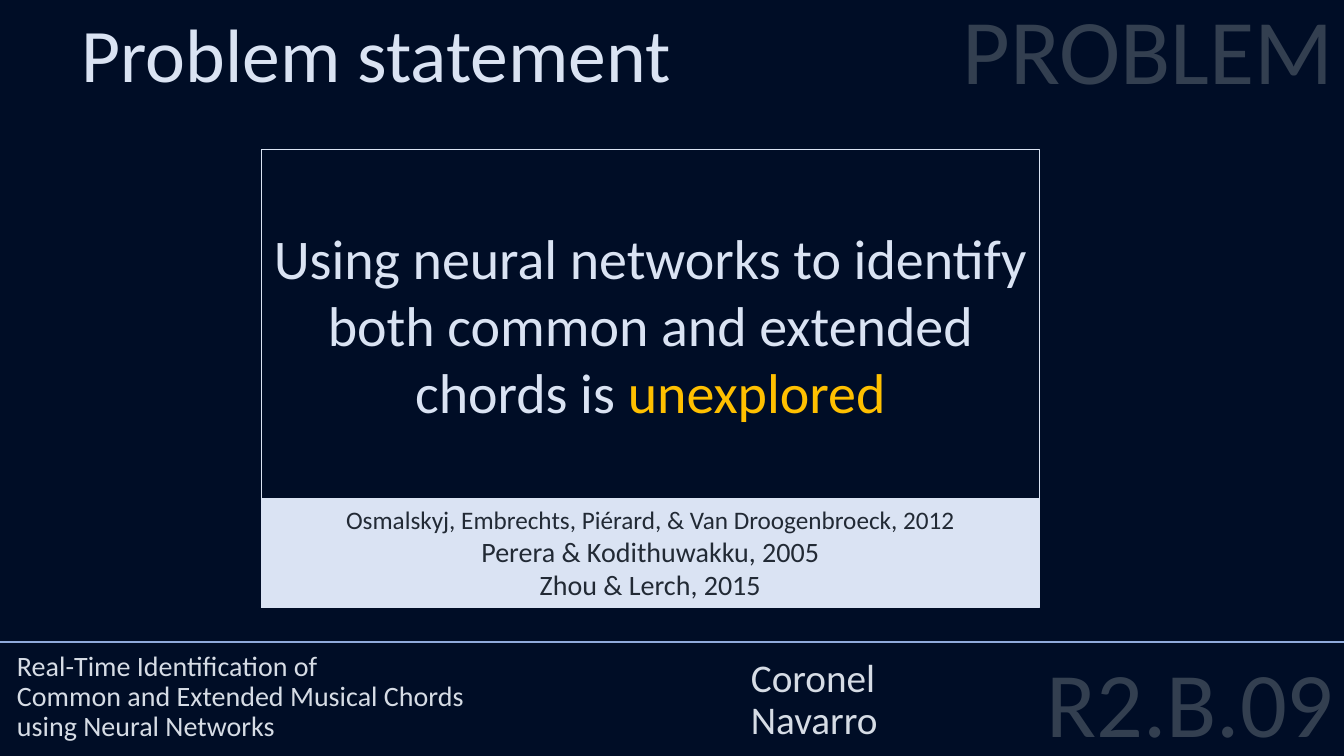
from dataclasses import dataclass

from lxml import etree
from pptx import Presentation
from pptx.dml.color import RGBColor
from pptx.enum.shapes import MSO_CONNECTOR, MSO_SHAPE
from pptx.enum.text import MSO_ANCHOR, PP_ALIGN
from pptx.oxml.ns import qn
from pptx.util import Pt

EMU_PER_PX = 9144
LEFT, CENTER, RIGHT = PP_ALIGN.LEFT, PP_ALIGN.CENTER, PP_ALIGN.RIGHT
TOP, MIDDLE, BOTTOM = MSO_ANCHOR.TOP, MSO_ANCHOR.MIDDLE, MSO_ANCHOR.BOTTOM
RECTANGLE = MSO_SHAPE.RECTANGLE
STRAIGHT = MSO_CONNECTOR.STRAIGHT


@dataclass(frozen=True)
class Theme:
    font: str = "Calibri"
    background: str = "000D26"
    light: str = "DAE3F3"
    footer: str = "D6DCE5"
    faded: str = "333F50"
    dark: str = "222A35"
    accent: str = "FFC000"
    rule: str = "8FAADC"
    label_size: int = 66
    heading_size: int = 54
    statement_size: int = 40
    author_size: int = 28
    body_size: int = 20
    small_size: int = 18
    border_width: float = 0.75
    rule_width: float = 1.5


def px(*lengths):
    return [length * EMU_PER_PX for length in lengths]


def rgb(color):
    return RGBColor.from_string(color)


class SlideBuilder:
    def __init__(self, presentation, theme):
        self.theme = theme
        self.slide = presentation.slides.add_slide(presentation.slide_layouts[6])
        background = self.slide.background.fill
        background.solid()
        background.fore_color.rgb = rgb(theme.background)

    def set_lines(self, shape, lines, color, align=LEFT, anchor=TOP, spacing=None):
        frame = shape.text_frame
        frame.word_wrap = True
        frame.vertical_anchor = anchor
        for index, (text, size) in enumerate(lines):
            paragraph = frame.add_paragraph() if index else frame.paragraphs[0]
            paragraph.text = text
            paragraph.alignment = align
            paragraph.line_spacing = spacing
            paragraph.font.name = self.theme.font
            paragraph.font.size = Pt(size)
            paragraph.font.color.rgb = rgb(color)

    def text(self, box, lines, color, **layout):
        self.set_lines(self.slide.shapes.add_textbox(*px(*box)), lines, color, **layout)

    def panel(self, box, lines, color, fill=None, **layout):
        shape = self.slide.shapes.add_shape(RECTANGLE, *px(*box))
        shape.shadow.inherit = False
        if fill:
            shape.fill.solid()
            shape.fill.fore_color.rgb = rgb(fill)
        else:
            shape.fill.background()
        shape.line.color.rgb = rgb(self.theme.light)
        shape.line.width = Pt(self.theme.border_width)
        self.set_lines(shape, lines, color, align=CENTER, **layout)
        return shape

    def highlight(self, shape, text):
        run = shape.text_frame.paragraphs[0].add_run()
        run.text = text
        run.font.color.rgb = rgb(self.theme.accent)

    def rule(self, left, right, y):
        line = self.slide.shapes.add_connector(STRAIGHT, *px(left, y, right, y))
        line.line.color.rgb = rgb(self.theme.rule)
        line.line.width = Pt(self.theme.rule_width)
        etree.SubElement(line._element.spPr, qn("a:effectLst"))


def main():
    presentation = Presentation()
    presentation.slide_width, presentation.slide_height = px(1333, 750)
    theme = Theme()
    builder = SlideBuilder(presentation, theme)

    project = "Real-Time Identification of\vCommon and Extended Musical Chords\vusing Neural Networks"
    builder.text((7, 443, 728, 299), [(project, theme.body_size)],
                 theme.footer, anchor=BOTTOM, spacing=0.9)
    builder.text((846, 656, 487, 104), [("R2.B.09", theme.label_size)],
                 theme.faded, align=RIGHT, spacing=0.8)
    builder.rule(0, 1333, 637)
    authors = [(name, theme.author_size) for name in ("Coronel", "Navarro")]
    builder.text((735, 443, 510, 299), authors,
                 theme.footer, anchor=BOTTOM, spacing=0.9)
    builder.text((222, 0, 1111, 358), [("PROBLEM", theme.label_size)],
                 theme.faded, align=RIGHT, spacing=0.9)
    builder.text((71, 2, 835, 101), [("Problem statement", theme.heading_size)], theme.light)

    statement = "Using neural networks to identify both common and extended chords is "
    panel = builder.panel((259, 148, 772, 347), [(statement, theme.statement_size)],
                          theme.light, anchor=MIDDLE)
    builder.highlight(panel, "unexplored")
    citations = [
        ("Osmalskyj, Embrechts, Piérard, & Van Droogenbroeck, 2012", theme.small_size),
        ("Perera & Kodithuwakku, 2005", theme.body_size),
        ("Zhou & Lerch, 2015", theme.body_size),
    ]
    builder.panel((259, 495, 772, 108), citations, theme.dark, fill=theme.light)
    presentation.save("out.pptx")


if __name__ == "__main__":
    main()
